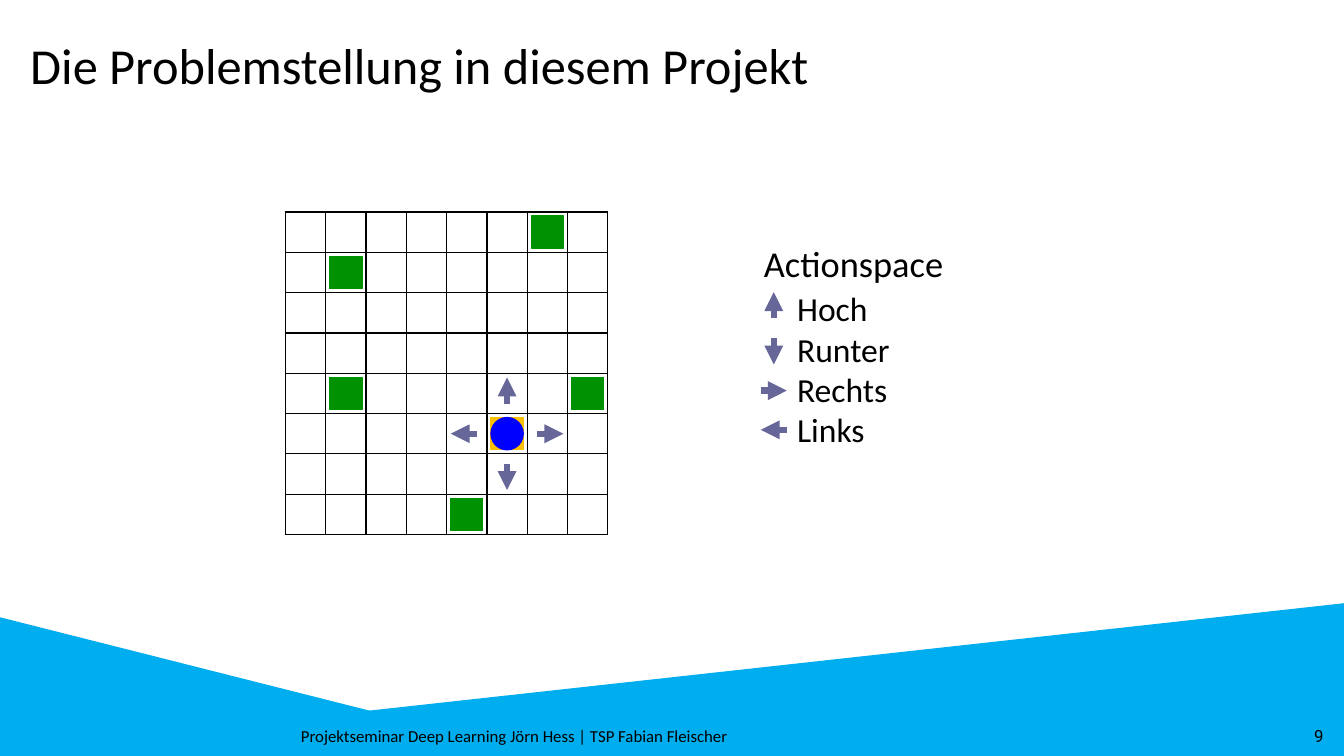
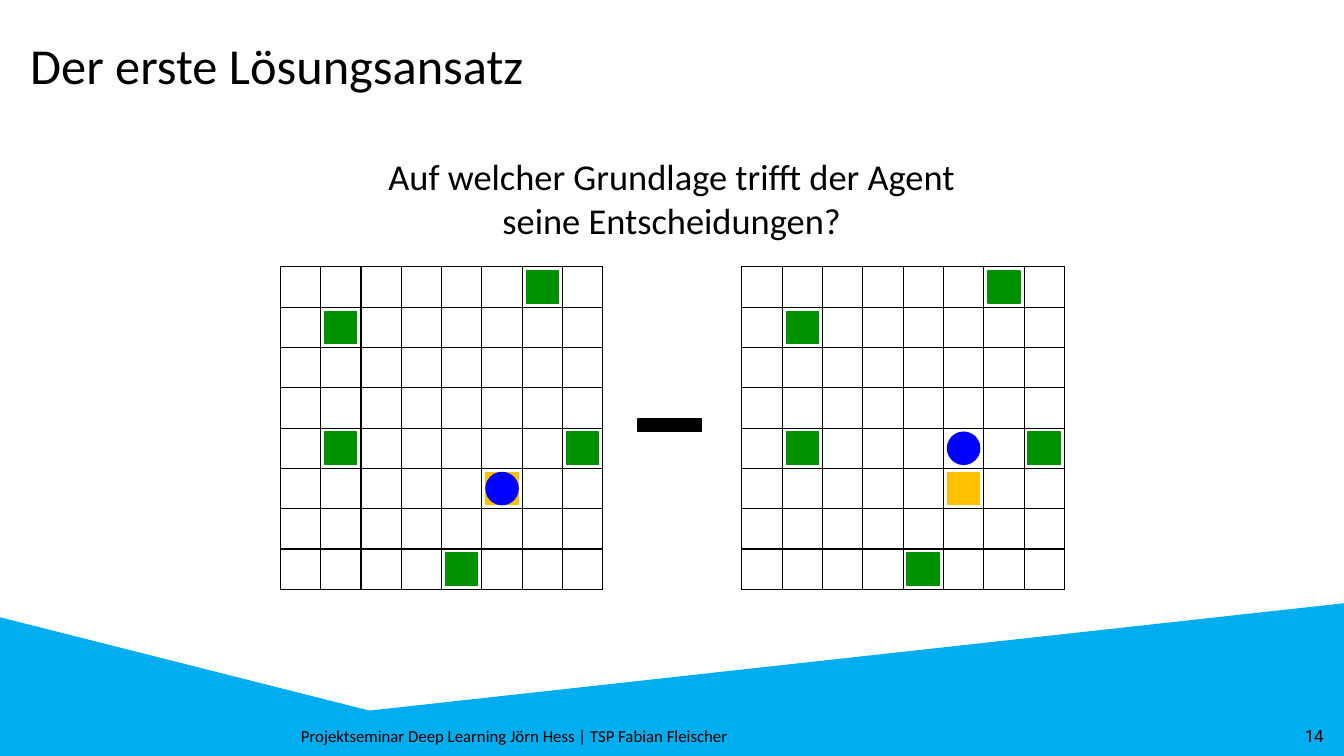
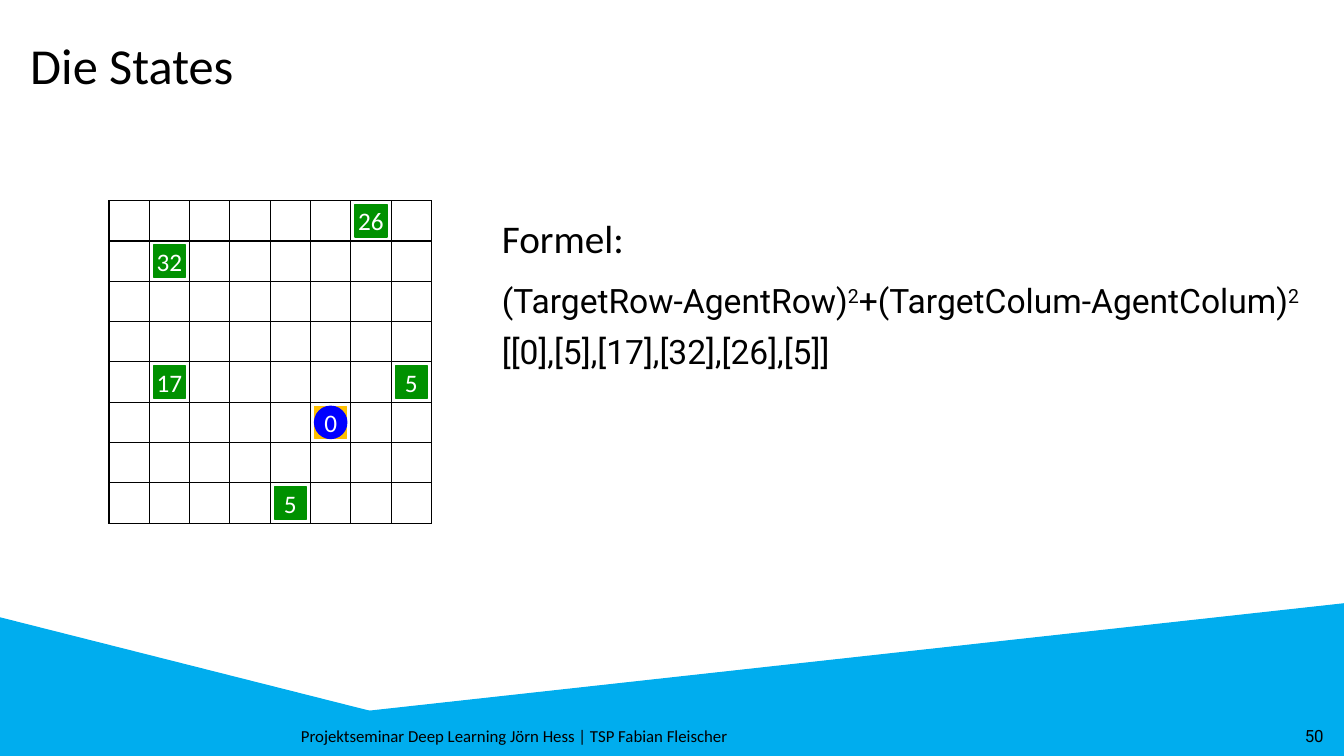
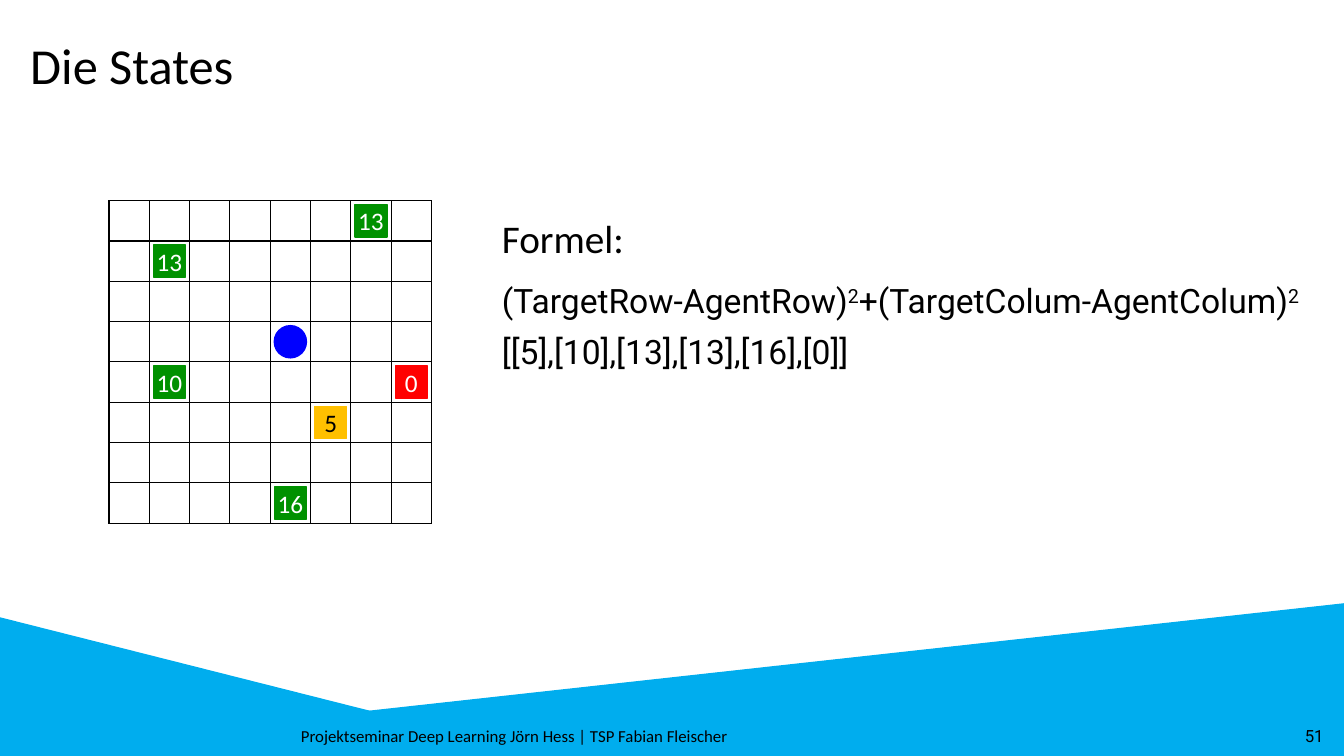
from lxml import etree
from pptx import Presentation
from pptx.dml.color import RGBColor
from pptx.enum.shapes import MSO_CONNECTOR, MSO_SHAPE
from pptx.enum.text import MSO_ANCHOR, MSO_AUTO_SIZE, PP_ALIGN
from pptx.oxml.ns import qn
from pptx.util import Pt

RECT, ELLIPSE = MSO_SHAPE.RECTANGLE, MSO_SHAPE.OVAL
TRIANGLE = MSO_SHAPE.RIGHT_TRIANGLE
STRAIGHT = MSO_CONNECTOR.STRAIGHT
LEFT, CENTER, RIGHT = PP_ALIGN.LEFT, PP_ALIGN.CENTER, PP_ALIGN.RIGHT
TOP, MIDDLE = MSO_ANCHOR.TOP, MSO_ANCHOR.MIDDLE
NO_FIT, GROW = MSO_AUTO_SIZE.NONE, MSO_AUTO_SIZE.SHAPE_TO_FIT_TEXT

BLACK = RGBColor(0x00, 0x00, 0x00)
WHITE = RGBColor(0xFF, 0xFF, 0xFF)
SKY = RGBColor(0x00, 0xAD, 0xEE)
GREEN = RGBColor(0x00, 0x91, 0x00)
AMBER = RGBColor(0xFF, 0xC0, 0x00)
BLUE = RGBColor(0x00, 0x00, 0xFF)
RED = RGBColor(0xFF, 0x00, 0x00)
SLATE = RGBColor(0x66, 0x66, 0x99)

SANS, ROBOTO = "Calibri", "Roboto"
FOOTER = "Projektseminar Deep Learning Jörn Hess | TSP Fabian Fleischer"

# Grid world: 8 x 8 cells, positions given as (column, row)
CELLS, CELL, MARKER = 8, 28.8, 23
TARGETS = [(7, 4), (4, 7), (6, 0), (1, 4), (1, 1)]
START = (5, 5)
STATES_GRID = (77.8, 143.3)

# Action, direction (dx, dy), height of its legend arrow
ACTIONS = [("Hoch", 0, -1, 218), ("Runter", 0, 1, 251),
           ("Rechts", 1, 0, 279), ("Links", -1, 0, 307)]
ARROW = 18.7
FORMULA = [("(TargetRow-AgentRow)", False), ("2", True),
           ("+(TargetColum-AgentColum)", False), ("2", True)]


# Text
def add_run(p, text, size, font=SANS, color=BLACK, raised=False):
    r = p.add_run()
    r.text = text
    r.font.size, r.font.name = Pt(size), font
    r.font.color.rgb = color
    if raised:
        r.font._element.set("baseline", "30000")


def add_text(slide, box, paragraphs, size, font=SANS, align=LEFT,
             anchor=TOP, wrap=False, fit=GROW):
    """Each paragraph is a list of (text, raised) runs."""
    tf = slide.shapes.add_textbox(*map(Pt, box)).text_frame
    tf.word_wrap, tf.auto_size, tf.vertical_anchor = wrap, fit, anchor
    for i, runs in enumerate(paragraphs):
        p = tf.add_paragraph() if i else tf.paragraphs[0]
        p.alignment = align
        for text, raised in runs:
            add_run(p, text, size, font, raised=raised)


def plain(text):
    return [(text, False)]


# Shapes
def add_block(shapes, kind, box, color):
    sp = shapes.add_shape(kind, *map(Pt, box))
    sp.shadow.inherit = False
    sp.fill.solid()
    sp.fill.fore_color.rgb = color
    sp.line.color.rgb = color
    sp.line.width = Pt(1)
    return sp


def add_arrow(slide, x, y, dx, dy):
    """Arrow from (x, y) in the direction (dx, dy)."""
    cx = slide.shapes.add_connector(STRAIGHT, Pt(x), Pt(y),
                                    Pt(x + dx * ARROW), Pt(y + dy * ARROW))
    cx.line.color.rgb = SLATE
    cx.line.width = Pt(4.5)
    sp_pr = cx.element.spPr
    etree.SubElement(sp_pr.find(qn("a:ln")), qn("a:tailEnd"), type="triangle")
    etree.SubElement(sp_pr, qn("a:effectLst"))


# Grid
def style_cell(cell):
    cell.margin_left = cell.margin_right = 0
    cell.margin_top = cell.margin_bottom = 0
    tc_pr = cell._tc.get_or_add_tcPr()
    for side in ("a:lnL", "a:lnR", "a:lnT", "a:lnB"):
        ln = etree.SubElement(tc_pr, qn(side), w=str(Pt(1)))
        fill = etree.SubElement(ln, qn("a:solidFill"))
        etree.SubElement(fill, qn("a:srgbClr"), val=str(BLACK))
    cell.fill.background()


def add_grid(slide, origin):
    side = Pt(CELLS * CELL)
    table = slide.shapes.add_table(CELLS, CELLS, *map(Pt, origin), side, side).table
    table.first_row = table.horz_banding = False
    for column in table.columns:
        column.width = Pt(CELL)
    for row in table.rows:
        row.height = Pt(CELL)
    for cell in table.iter_cells():
        style_cell(cell)


def add_marker(slide, origin, place, color, kind=RECT, label="", ink=WHITE):
    inset = (CELL - MARKER) / 2
    x, y = (o + n * CELL + inset for o, n in zip(origin, place))
    sp = add_block(slide.shapes, kind, (x, y, MARKER, MARKER), color)
    if label:
        tf = sp.text_frame
        tf.margin_left = tf.margin_right = tf.margin_top = tf.margin_bottom = 0
        tf.word_wrap, tf.vertical_anchor = False, MIDDLE
        p = tf.paragraphs[0]
        p.alignment = CENTER
        add_run(p, label, 18, color=ink)


def add_world(slide, origin, agent, labels=("",) * 5, visited=(),
              start_label="", agent_label=""):
    """Grid with targets, start cell and agent."""
    add_grid(slide, origin)
    for place, label in zip(TARGETS, labels):
        color = RED if place in visited else GREEN
        add_marker(slide, origin, place, color, label=label)
    add_marker(slide, origin, START, AMBER, label=start_label, ink=BLACK)
    add_marker(slide, origin, agent, BLUE, ELLIPSE, agent_label)


# Shared slide parts
def add_band(layout, slide):
    """Draw the blue band and move it behind everything on the layout."""
    for placeholder in list(layout.placeholders)[1:]:
        layout.shapes.element.remove(placeholder.element)
    group = slide.shapes.add_group_shape()
    add_block(group.shapes, RECT, (0, 512, 960, 28), SKY)
    add_block(group.shapes, TRIANGLE, (0, 441.4, 277, 70), SKY)
    slope = add_block(group.shapes, TRIANGLE, (234, 431.4, 726, 80), SKY)
    slope.element.spPr.find(qn("a:xfrm")).set("flipH", "1")
    layout.shapes.element.insert(2, group.element)


def new_slide(prs, layout, title, number, title_width=480):
    slide = prs.slides.add_slide(layout)
    sp = slide.shapes.title
    sp.left, sp.top = Pt(14.4), Pt(21)
    sp.width, sp.height = Pt(title_width), Pt(51)
    tf = sp.text_frame
    tf.auto_size, tf.vertical_anchor, tf.word_wrap = NO_FIT, TOP, True
    p = tf.paragraphs[0]
    p.alignment = LEFT
    add_run(p, title, 36)
    add_text(slide, (0, 511.2, 735, 28.8), [plain(FOOTER)], 12,
             align=CENTER, anchor=MIDDLE, wrap=True, fit=NO_FIT)
    add_text(slide, (736.6, 511.2, 216, 28.8), [plain(str(number))], 12, ROBOTO,
             RIGHT, MIDDLE, wrap=True, fit=NO_FIT)
    return slide


# Slides
def fill_problem(slide):
    origin = (203.8, 151.4)
    add_world(slide, origin, START)
    add_text(slide, (538.6, 168.5, 144, 39), [plain("Actionspace")], 26)
    add_text(slide, (562.3, 202.3, 81.4, 145.4),
             [plain(name) for name, *_ in ACTIONS], 24)
    x, y = (o + (n + 0.5) * CELL for o, n in zip(origin, START))
    for _, dx, dy, legend_y in ACTIONS:
        add_arrow(slide, x + dx * 21.5, y + dy * 21.5, dx, dy)
        add_arrow(slide, 552.7 - dx * ARROW / 2, legend_y - dy * ARROW / 2, dx, dy)


def fill_approach(slide):
    add_text(slide, (242, 106.6, 476, 70.6),
             [plain("Auf welcher Grundlage trifft der Agent seine Entscheidungen?")],
             26, align=CENTER, wrap=True)
    add_world(slide, (200.2, 190.6), START)
    add_world(slide, (529.9, 190.6), (5, 4))
    add_block(slide.shapes, RECT, (455.8, 299.4, 45.4, 8.8), BLACK)


def fill_states(slide, state, state_width, agent, **world):
    add_world(slide, STATES_GRID, agent, **world)
    add_text(slide, (351.4, 149.8, 102.2, 41), [plain("Formel:")], 28)
    add_text(slide, (351.4, 196.6, 594, 36), [FORMULA], 24, ROBOTO)
    add_text(slide, (351.4, 232.6, state_width, 36), [plain(state)], 24, ROBOTO)


def main():
    prs = Presentation()
    prs.slide_width, prs.slide_height = Pt(960), Pt(540)
    layout = prs.slide_layouts[5]

    problem = new_slide(prs, layout, "Die Problemstellung in diesem Projekt", 9, 787)
    add_band(layout, problem)
    fill_problem(problem)

    fill_approach(new_slide(prs, layout, "Der erste Lösungsansatz", 14))

    fill_states(new_slide(prs, layout, "Die States", 50),
                "[[0],[5],[17],[32],[26],[5]]", 263.5, START,
                labels=("5", "5", "26", "17", "32"), agent_label="0")

    fill_states(new_slide(prs, layout, "Die States", 51),
                "[[5],[10],[13],[13],[16],[0]]", 276.5, (4, 3),
                labels=("0", "16", "13", "10", "13"), visited=[(7, 4)],
                start_label="5")

    prs.save("out.pptx")


if __name__ == "__main__":
    main()
